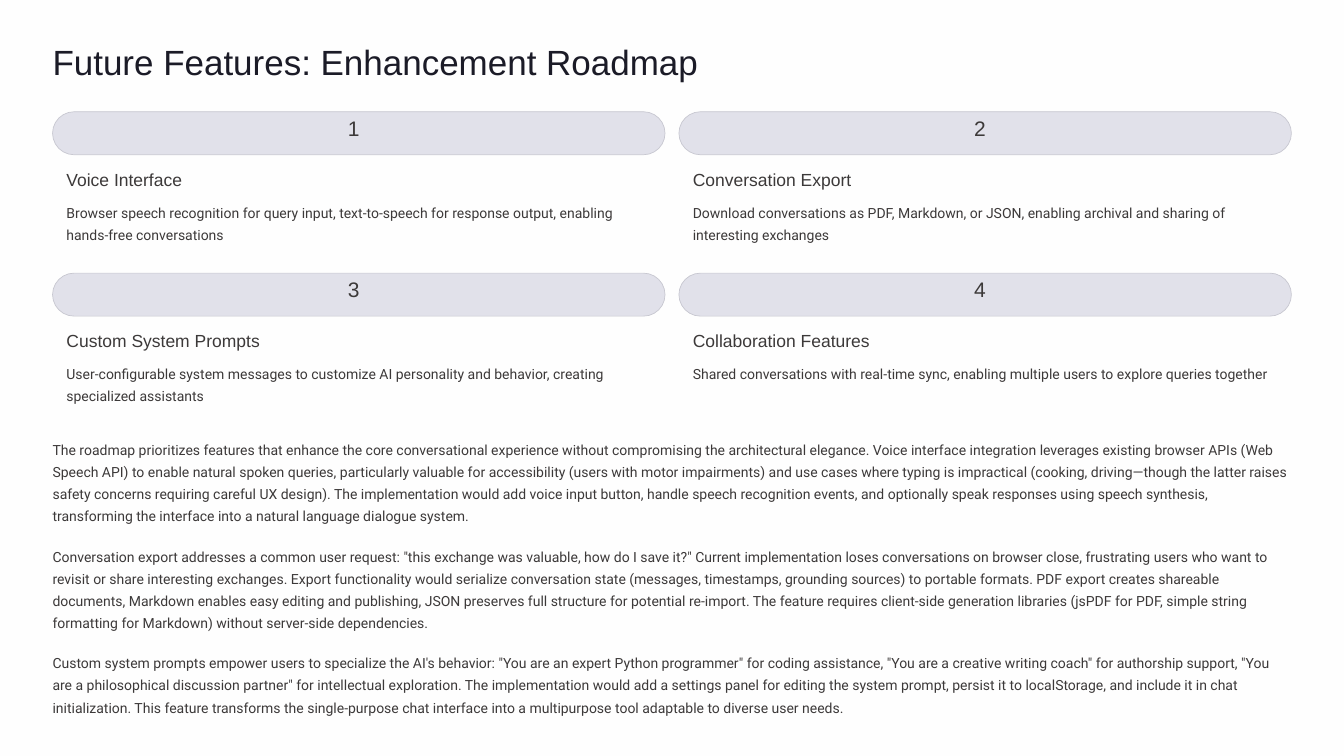
from dataclasses import dataclass

import pptx
import pptx.dml.color
import pptx.enum.shapes
import pptx.enum.text
import pptx.util

Cm = pptx.util.Cm
Pt = pptx.util.Pt


@dataclass(frozen=True)
class TextStyle:
    font: str
    size: float
    leading: float
    color: str


@dataclass(frozen=True)
class Theme:
    background: str = "FEFEFE"
    pill_fill: str = "E1E1EA"
    pill_line: str = "C7C7D0"
    pill_line_width: float = 0.6
    title: TextStyle = TextStyle("Arial", 30, 37.5, "1B1B27")
    number: TextStyle = TextStyle("Arial", 18, 18, "3C3939")
    heading: TextStyle = TextStyle("Arial", 15, 18.5, "3C3939")
    body: TextStyle = TextStyle("Roboto", 12, 19, "3C3939")


THEME = Theme()

TITLE = "Future Features: Enhancement Roadmap"

FEATURES = [
    ("Voice Interface",
     "Browser speech recognition for query input, text-to-speech for response "
     "output, enabling hands-free conversations"),
    ("Conversation Export",
     "Download conversations as PDF, Markdown, or JSON, enabling archival and "
     "sharing of interesting exchanges"),
    ("Custom System Prompts",
     "User-configurable system messages to customize AI personality and "
     "behavior, creating specialized assistants"),
    ("Collaboration Features",
     "Shared conversations with real-time sync, enabling multiple users to "
     "explore queries together"),
]

DETAILS = [
    "The roadmap prioritizes features that enhance the core conversational "
    "experience without compromising the architectural elegance. Voice "
    "interface integration leverages existing browser APIs (Web Speech API) to "
    "enable natural spoken queries, particularly valuable for accessibility "
    "(users with motor impairments) and use cases where typing is impractical "
    "(cooking, driving—though the latter raises safety concerns requiring "
    "careful UX design). The implementation would add voice input button, "
    "handle speech recognition events, and optionally speak responses using "
    "speech synthesis, transforming the interface into a natural language "
    "dialogue system.",
    "Conversation export addresses a common user request: \"this exchange was "
    "valuable, how do I save it?\" Current implementation loses conversations "
    "on browser close, frustrating users who want to revisit or share "
    "interesting exchanges. Export functionality would serialize conversation "
    "state (messages, timestamps, grounding sources) to portable formats. PDF "
    "export creates shareable documents, Markdown enables easy editing and "
    "publishing, JSON preserves full structure for potential re-import. The "
    "feature requires client-side generation libraries (jsPDF for PDF, simple "
    "string formatting for Markdown) without server-side dependencies.",
    "Custom system prompts empower users to specialize the AI's behavior: "
    "\"You are an expert Python programmer\" for coding assistance, \"You are a "
    "creative writing coach\" for authorship support, \"You are a philosophical "
    "discussion partner\" for intellectual exploration. The implementation "
    "would add a settings panel for editing the system prompt, persist it to "
    "localStorage, and include it in chat initialization. This feature "
    "transforms the single-purpose chat interface into a multipurpose tool "
    "adaptable to diverse user needs.",
]


def rgb(value):
    return pptx.dml.color.RGBColor.from_string(value)


def add_text(slide, text, style, left, top, width, height, wrap=False):
    box = slide.shapes.add_textbox(left, top, width, height)
    tf = box.text_frame
    tf.margin_left = tf.margin_right = tf.margin_top = tf.margin_bottom = 0
    tf.word_wrap = wrap
    p = tf.paragraphs[0]
    p.alignment = pptx.enum.text.PP_ALIGN.LEFT
    p.line_spacing = Pt(style.leading)
    r = p.add_run()
    r.text = text
    r.font.name = style.font
    r.font.size = Pt(style.size)
    r.font.color.rgb = rgb(style.color)


def add_pill(slide, left, top, width, height):
    sp = slide.shapes.add_shape(
        pptx.enum.shapes.MSO_SHAPE.ROUNDED_RECTANGLE, left, top, width, height)
    sp.adjustments[0] = 0.5
    sp.shadow.inherit = False
    sp.fill.solid()
    sp.fill.fore_color.rgb = rgb(THEME.pill_fill)
    sp.line.color.rgb = rgb(THEME.pill_line)
    sp.line.width = Pt(THEME.pill_line_width)


def add_feature(slide, number, heading, body, left, top, width):
    inset = Cm(0.42)
    inner = width - 2 * inset
    add_pill(slide, left, top, width, Cm(1.3))
    add_text(slide, str(number), THEME.number,
             left + Cm(8.93), top + Cm(0.23), Cm(0.64), Cm(0.81))
    add_text(slide, heading, THEME.heading,
             left + inset, top + Cm(1.7), Cm(6), Cm(0.66))
    add_text(slide, body, THEME.body,
             left + inset, top + Cm(2.64), inner, Cm(1.37), wrap=True)


def add_feature_grid(slide, left, top, width):
    columns, gap, row_pitch = 2, Cm(0.42), Cm(4.88)
    card_width = (width - gap * (columns - 1)) // columns
    for i, (heading, body) in enumerate(FEATURES):
        row, column = divmod(i, columns)
        add_feature(slide, i + 1, heading, body,
                    left + column * (card_width + gap),
                    top + row * row_pitch, card_width)


def add_details(slide, left, top, width):
    pitch = Cm(3.23)
    for i, text in enumerate(DETAILS):
        add_text(slide, text, THEME.body,
                 left, top + i * pitch, width, Cm(2.74), wrap=True)


def build_roadmap_slide(prs):
    slide = prs.slides.add_slide(prs.slide_layouts[6])
    slide.background.fill.solid()
    slide.background.fill.fore_color.rgb = rgb(THEME.background)
    margin = Cm(1.59)
    width = prs.slide_width - 2 * margin
    add_text(slide, TITLE, THEME.title, margin, Cm(1.17), Cm(20.85), Cm(1.35))
    add_feature_grid(slide, margin, Cm(3.38), width)
    add_details(slide, margin, Cm(13.18), width)


def main():
    prs = pptx.Presentation()
    prs.slide_width = Cm(40.64)
    prs.slide_height = Cm(22.86)
    build_roadmap_slide(prs)
    prs.save("out.pptx")


if __name__ == "__main__":
    main()
